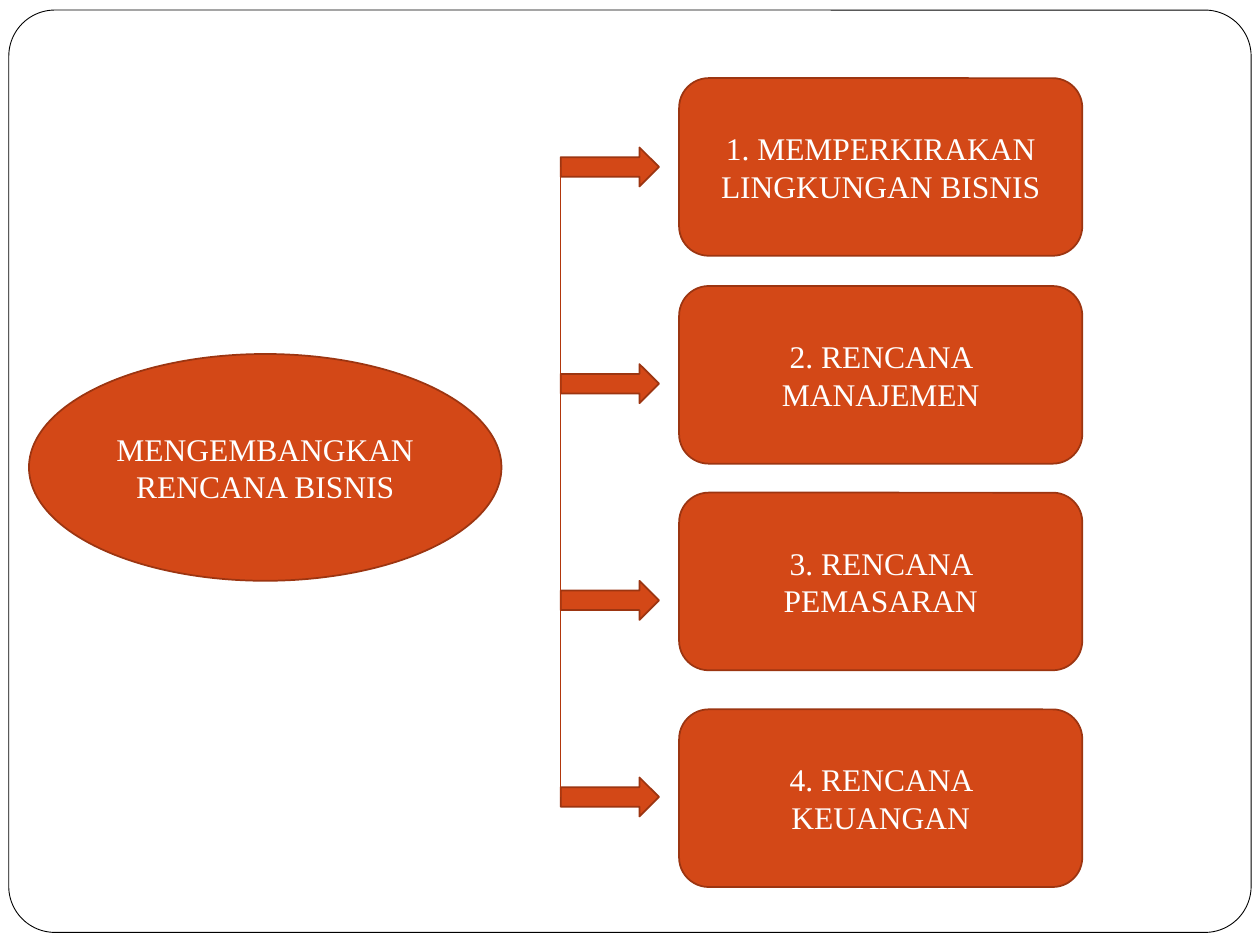
"""Build a slide that branches a business plan into four steps."""
from dataclasses import dataclass

from lxml import etree
from pptx import Presentation
from pptx.dml.color import RGBColor
from pptx.enum.shapes import MSO_CONNECTOR, MSO_SHAPE
from pptx.enum.text import MSO_ANCHOR, PP_ALIGN
from pptx.oxml.ns import qn
from pptx.util import Inches, Pt

ROUNDED, OVAL = MSO_SHAPE.ROUNDED_RECTANGLE, MSO_SHAPE.OVAL
ARROW, STRAIGHT = MSO_SHAPE.RIGHT_ARROW, MSO_CONNECTOR.STRAIGHT
CENTER, MIDDLE = PP_ALIGN.CENTER, MSO_ANCHOR.MIDDLE

WHITE = RGBColor(0xFF, 0xFF, 0xFF)
BLACK = RGBColor(0, 0, 0)
ORANGE = RGBColor(0xD3, 0x48, 0x17)
BROWN = RGBColor(0x9C, 0x35, 0x11)
RUST = RGBColor(0xB1, 0x36, 0x0B)

FONT = "Times New Roman"
TRUNK_X, STEP_X = 4.45, 5.39
STEP_WIDTH, STEP_HEIGHT = 3.2, 1.41
ARROW_WIDTH, ARROW_HEIGHT = 0.78, 0.31


@dataclass(frozen=True)
class Step:
    """A plan step with the tops of its box and its arrow in inches."""
    text: str
    box_top: float
    arrow_top: float


STEPS = (
    Step("1. MEMPERKIRAKAN LINGKUNGAN BISNIS", 0.62, 1.17),
    Step("2. RENCANA MANAJEMEN", 2.27, 2.89),
    Step("3. RENCANA PEMASARAN", 3.91, 4.61),
    Step("4. RENCANA KEUANGAN", 5.63, 6.17),
)


def add_box(page, kind, left: float, top: float, width: float, height: float,
            text: str = "", fill=ORANGE, line=BROWN, weight: float = 1):
    """Add a flat outlined shape with optional centred text."""
    box = page.shapes.add_shape(
        kind, Inches(left), Inches(top), Inches(width), Inches(height))
    box.shadow.inherit = False
    box.fill.solid()
    box.fill.fore_color.rgb = fill
    box.line.color.rgb = line
    box.line.width = Pt(weight)
    if text:
        frame = box.text_frame
        frame.word_wrap = True
        frame.vertical_anchor = MIDDLE
        para = frame.paragraphs[0]
        para.text = text
        para.alignment = CENTER
        para.font.name = FONT
        para.font.size = Pt(18)
        para.font.color.rgb = WHITE
    return box


def add_trunk(page, top: float, bottom: float) -> None:
    """Add the vertical line that joins the arrows."""
    trunk = page.shapes.add_connector(
        STRAIGHT, Inches(TRUNK_X), Inches(top), Inches(TRUNK_X), Inches(bottom))
    trunk.line.color.rgb = RUST
    trunk.line.width = Pt(0.75)
    etree.SubElement(trunk._element.spPr, qn("a:effectLst"))


def main() -> None:
    """Draw the frame, the topic, the steps and the trunk, then save."""
    deck = Presentation()
    deck.slide_width, deck.slide_height = Inches(10), Inches(7.5)
    page = deck.slides.add_slide(deck.slide_layouts[6])

    frame = add_box(page, ROUNDED, 0.07, 0.08, 9.86, 7.32,
                    fill=WHITE, line=BLACK, weight=0.5)
    frame.adjustments[0] = 0.05
    add_box(page, OVAL, 0.23, 2.81, 3.75, 1.8, "MENGEMBANGKAN RENCANA BISNIS")
    for step in STEPS:
        add_box(page, ROUNDED, STEP_X, step.box_top, STEP_WIDTH, STEP_HEIGHT, step.text)
        add_box(page, ARROW, TRUNK_X, step.arrow_top, ARROW_WIDTH, ARROW_HEIGHT)
    middle = ARROW_HEIGHT / 2
    add_trunk(page, STEPS[0].arrow_top + middle, STEPS[-1].arrow_top + middle)
    deck.save("out.pptx")


main()
